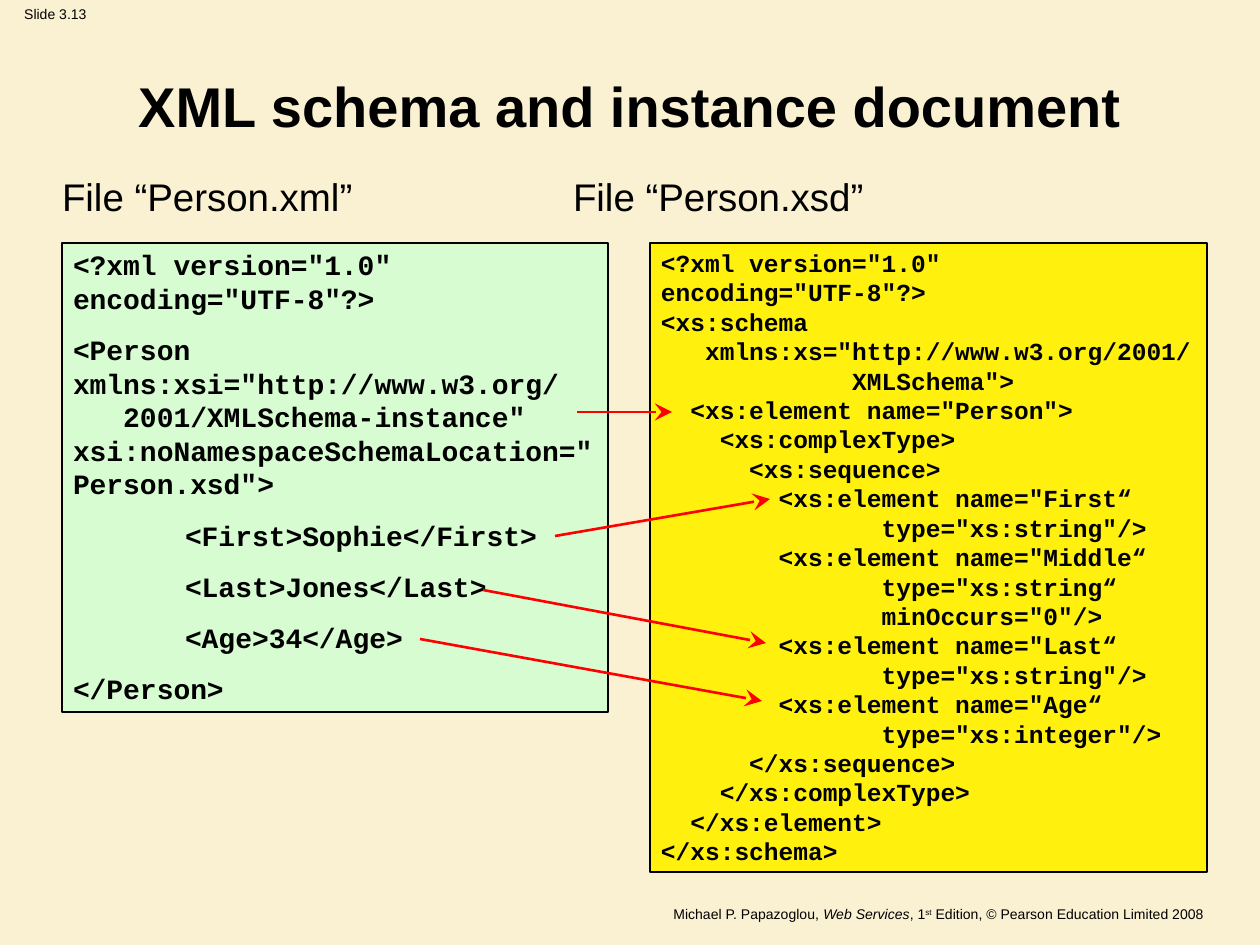
from copy import deepcopy

from lxml.etree import SubElement
from pptx import Presentation
from pptx.dml.color import RGBColor
from pptx.enum.shapes import MSO_CONNECTOR, MSO_SHAPE
from pptx.enum.text import MSO_ANCHOR, PP_ALIGN
from pptx.oxml.ns import qn
from pptx.util import Emu, Pt

SCALE = 914400 / 126
HEX = {"back": "FAF0D2", "ink": "000000", "green": "D7FCD1",
       "yellow": "FFF10D", "red": "FF0000"}

PERSON = [
    '<?xml version="1.0" encoding="UTF-8"?>',
    '<Person xmlns:xsi="http://www.w3.org/\n   2001/XMLSchema-instance" '
    'xsi:noNamespaceSchemaLocation="Person.xsd">',
    "\t<First>Sophie</First>",
    "\t<Last>Jones</Last>",
    "\t<Age>34</Age>",
    "</Person>",
]
SCHEMA = [
    '<?xml version="1.0" encoding="UTF-8"?>',
    '<xs:schema\n   xmlns:xs="http://www.w3.org/2001/\n             XMLSchema">',
    '  <xs:element name="Person">',
    "    <xs:complexType>",
    "      <xs:sequence>",
    '        <xs:element name="First“\n               type="xs:string"/>',
    '        <xs:element name="Middle“\n               type="xs:string“\n'
    '               minOccurs="0"/>',
    '        <xs:element name="Last“',
    '               type="xs:string"/>',
    '        <xs:element name="Age“\n               type="xs:integer"/>',
    "      </xs:sequence>",
    "    </xs:complexType>",
    "  </xs:element>",
    "</xs:schema>",
]
CREDIT = [
    ("Michael P. Papazoglou, ", {}),
    ("Web Services", {"italic": True}),
    (", 1", {}),
    ("st", {"raise": "30000"}),
    (" Edition, © Pearson Education Limited 2008 ", {}),
]
ARROWS = [
    (420, 639, 762, 701),
    (483, 590, 766, 643),
    (555, 536, 770, 499),
    (577, 412, 672, 412),
]


def px(num):
    """Turn pixels into EMU."""
    return Emu(round(num * SCALE))


def tint(name):
    """Return a colour from the palette."""
    return RGBColor.from_string(HEX[name])


def style(run, form):
    """Set the font of a run from format values."""
    form = dict(form)
    lift = form.pop("raise", None)
    for key, val in form.items():
        setattr(run.font, key, val)
    run.font.color.rgb = tint("ink")
    if lift:
        run.font._element.set("baseline", lift)


def add_tab(para, pos):
    """Give a paragraph one left tab stop."""
    tabs = SubElement(para._p.get_or_add_pPr(), qn("a:tabLst"))
    SubElement(tabs, qn("a:tab"), pos=str(px(pos)), algn="l")


def fill_text(shape, paras, form, align=PP_ALIGN.LEFT, gap=0, tab=None,
              pad=(11, 6), **frame):
    """Write paragraphs of plain text or of styled runs into a shape."""
    text = shape.text_frame
    side, edge = map(px, pad)
    values = {"word_wrap": True, "vertical_anchor": MSO_ANCHOR.TOP,
              "margin_left": side, "margin_right": side,
              "margin_top": edge, "margin_bottom": edge, **frame}
    for key, val in values.items():
        setattr(text, key, val)
    for num, item in enumerate(paras):
        para = text.add_paragraph() if num else text.paragraphs[0]
        para.alignment = align
        para.space_before = Pt(gap if num else 0)
        if tab:
            add_tab(para, tab)
        if isinstance(item, str):
            para.text = item
            for run in para.runs:
                style(run, form)
            for stop in para._p.findall(qn("a:br")):
                stop.append(deepcopy(para.runs[0].font._element))
        else:
            for part, more in item:
                run = para.add_run()
                run.text = part
                style(run, {**form, **more})


def add_label(slide, box, paras, size, bold=False, **opts):
    """Add a text box in Arial."""
    shape = slide.shapes.add_textbox(*map(px, box))
    fill_text(shape, paras, {"name": "Arial", "size": Pt(size), "bold": bold}, **opts)


def add_code(slide, box, lines, size, fill, gap=0):
    """Add a framed panel of code."""
    shape = slide.shapes.add_shape(MSO_SHAPE.RECTANGLE, *map(px, box))
    shape.shadow.inherit = False
    shape.fill.solid()
    shape.fill.fore_color.rgb = tint(fill)
    shape.line.color.rgb = tint("ink")
    shape.line.width = Pt(0.75)
    form = {"name": "Courier New", "size": Pt(size), "bold": True}
    fill_text(shape, lines, form, gap=gap, tab=112, pad=(11, 5))


def add_arrow(slide, ends):
    """Add a red arrow without a shadow."""
    line = slide.shapes.add_connector(MSO_CONNECTOR.STRAIGHT, *map(px, ends))
    line.line.color.rgb = tint("red")
    line.line.width = Pt(1.5)
    SubElement(line.line._get_or_add_ln(), qn("a:tailEnd"), type="stealth",
               w="lg", len="lg")
    SubElement(line._element.spPr, qn("a:effectLst"))


def main():
    """Build the slide and save it."""
    deck = Presentation()
    deck.slide_width, deck.slide_height = px(1260), px(945)
    slide = deck.slides.add_slide(deck.slide_layouts[6])
    back = slide.background.fill
    back.solid()
    back.fore_color.rgb = tint("back")

    add_label(slide, (0, 0, 111, 30), ["Slide 3.13"], 8,
              align=PP_ALIGN.CENTER, pad=(13, 6), word_wrap=False)
    add_label(slide, (30, 900, 1191, 26), [CREDIT], 8,
              align=PP_ALIGN.RIGHT, pad=(13, 6))
    add_label(slide, (51, 168, 1102, 62), ["File “Person.xml”\tFile “Person.xsd”"],
              22, tab=511, pad=(11, 5))
    add_code(slide, (62, 243, 546, 469), PERSON, 16, "green", gap=10)
    add_code(slide, (650, 243, 557, 629), SCHEMA, 14, "yellow")
    for ends in ARROWS:
        add_arrow(slide, ends)
    add_label(slide, (100, 60, 1060, 85), ["XML schema and instance document"], 32,
              bold=True, align=PP_ALIGN.CENTER, pad=(13, 6),
              vertical_anchor=MSO_ANCHOR.BOTTOM)
    deck.save("out.pptx")


if __name__ == "__main__":
    main()
